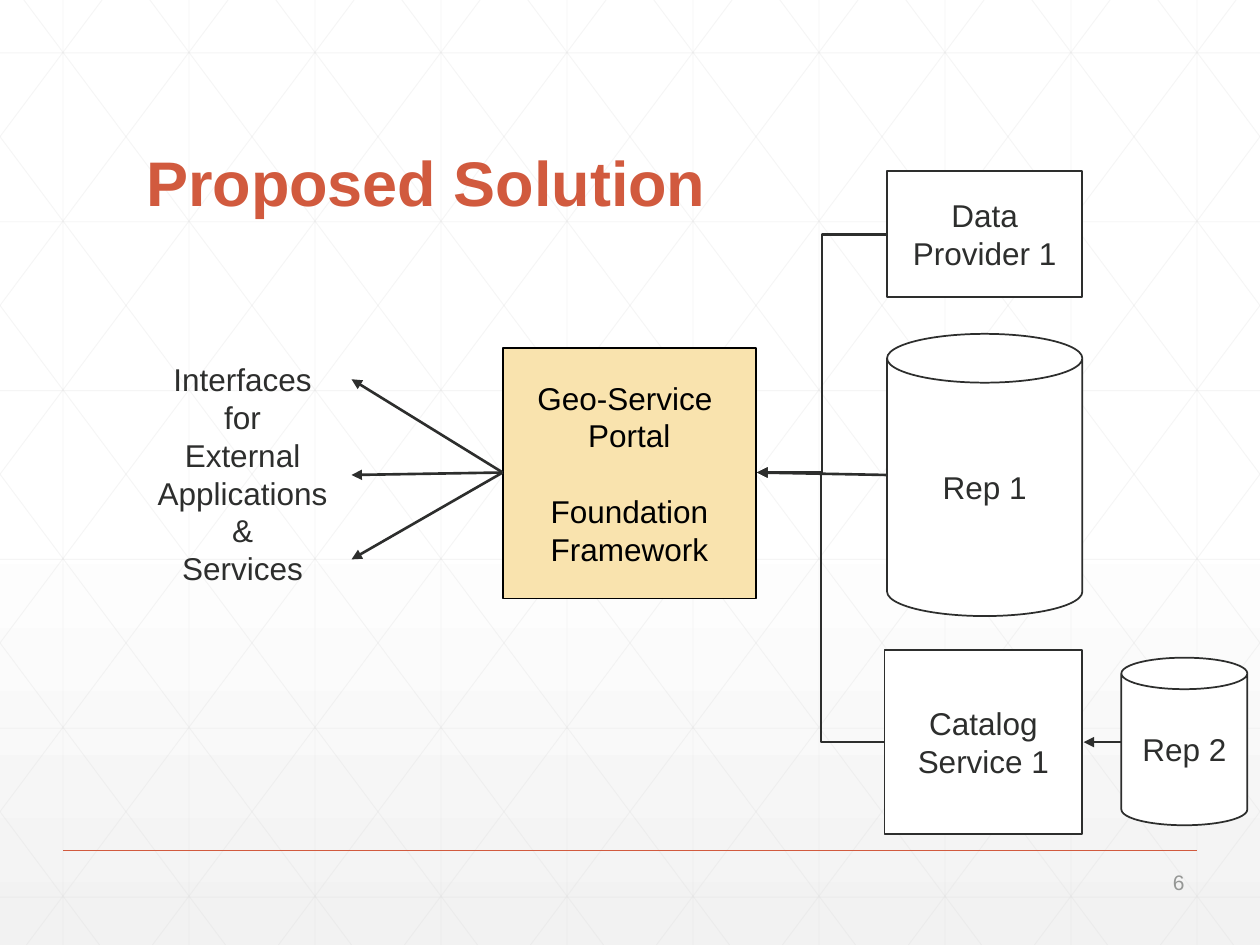
from pptx import Presentation
from pptx.dml.color import RGBColor
from pptx.enum.shapes import MSO_CONNECTOR as LINK, MSO_SHAPE as SHAPE
from pptx.enum.text import MSO_ANCHOR as ANCHOR, MSO_AUTO_SIZE as AUTO, PP_ALIGN as ALIGN
from pptx.oxml.ns import qn
from pptx.util import Inches, Pt
from lxml.etree import SubElement

FONT = "Arial"
INK, ACCENT, GRID, WHITE, BLACK = "2D2E2D", "D15A3E", "D9D9D9", "FFFFFF", "000000"


def color(hex_string):
    return RGBColor.from_string(hex_string)


def lengths(*values):
    return [Inches(value) for value in values]


def write(frame, lines, size=18, ink=INK, align=ALIGN.CENTER, anchor=ANCHOR.MIDDLE,
          bold=False, spacing=Pt(21.6)):
    frame.text = "\n".join(lines)
    frame.word_wrap = True
    frame.auto_size = AUTO.NONE
    frame.vertical_anchor = anchor
    for paragraph in frame.paragraphs:
        paragraph.alignment = align
        paragraph.line_spacing = spacing
        for run in paragraph.runs:
            run.font.name = FONT
            run.font.size = Pt(size)
            run.font.bold = bold
            run.font.color.rgb = color(ink)


def link(slide, start, end, ink=INK, width=1.5, kind=LINK.STRAIGHT, arrow=False, opacity=None):
    connector = slide.shapes.add_connector(kind, *lengths(*start, *end))
    connector.line.color.rgb = color(ink)
    connector.line.width = Pt(width)
    properties = connector._element.spPr
    outline = properties.find(qn("a:ln"))
    if opacity:
        tint = outline.find(".//" + qn("a:srgbClr"))
        SubElement(tint, qn("a:alpha")).set("val", str(opacity * 1000))
    if arrow:
        SubElement(outline, qn("a:tailEnd")).set("type", "triangle")
    SubElement(properties, qn("a:effectLst"))


def add_node(slide, box, lines, kind=SHAPE.RECTANGLE, fill=WHITE, line=INK, ink=INK):
    node = slide.shapes.add_shape(kind, *lengths(*box))
    node.shadow.inherit = False
    node.fill.solid()
    node.fill.fore_color.rgb = color(fill)
    node.line.color.rgb = color(line)
    node.line.width = Pt(1)
    write(node.text_frame, lines, ink=ink)
    return node


def add_background(slide, box):
    left, top, width, height = box
    right, bottom = left + width, top + height
    fill = slide.background.fill
    fill.gradient()
    fill.gradient_angle = 270
    for stop, position, shade in zip(fill.gradient_stops, (0.53, 1), (WHITE, "F2F2F2")):
        stop.position = position
        stop.color.rgb = color(shade)

    strokes = [((left + 0.5 + step, top), (left + 0.5 + step, bottom)) for step in range(10)]
    strokes += [((left, top + 0.42 + 1.34 * row), (right, top + 0.42 + 1.34 * row))
                for row in range(6)]
    slope = height / 5.6
    for step in range(-5, 10):
        offset = 0.19 + step
        x1, x2 = max(offset, 0), min(offset + 5.6, width)
        y1, y2 = (x1 - offset) * slope, (x2 - offset) * slope
        strokes.append(((left + x1, top + y1), (left + x2, top + y2)))
        strokes.append(((right - x1, top + y1), (right - x2, top + y2)))
    for start, end in strokes:
        link(slide, start, end, GRID, 0.5, opacity=25)


def add_title(slide, box):
    title = slide.shapes.title
    title.left, title.top, title.width, title.height = lengths(*box)
    write(title.text_frame, ["Proposed Solution"], 36, ACCENT, ALIGN.LEFT, ANCHOR.BOTTOM,
          True, 0.9)
    slide.shapes._spTree.append(title._element)


def add_footer(slide, box):
    left, top, width, height = box
    link(slide, (left, top), (left + width, top), ACCENT, 1)
    number = slide.shapes.add_textbox(*lengths(left + width - 0.75, top + 0.13, 0.75, height))
    write(number.text_frame, ["6"], 12, "959795", ALIGN.RIGHT, spacing=1.0)


def add_portal(slide, box):
    portal = add_node(slide, box, ["Geo-Service ", "Portal", "Foundation Framework"],
                      fill="F9E3AE", line=BLACK, ink=BLACK)
    portal.text_frame.paragraphs[2].space_before = Pt(21.6)


def add_sources(slide, box, hub):
    left, top, width, height = box
    catalog_y = top + 4.53
    add_node(slide, (left, top, width, 1), ["Data Provider 1"])
    add_node(slide, (left, top + 1.29, width, 2.24), ["Rep 1"], SHAPE.CAN)
    add_node(slide, (left - 0.02, top + 3.8, width + 0.02, height - 3.8),
             ["Catalog", "Service 1"])
    add_node(slide, (left + 1.86, top + 3.86, 1, 1.33), ["Rep 2"], SHAPE.CAN)
    link(slide, (left + 1.86, catalog_y), (left + width + 0.01, catalog_y), arrow=True)
    link(slide, (left, top + 2.41), hub, arrow=True)
    for start in ((left, top + 0.5), (left - 0.02, catalog_y)):
        link(slide, start, hub, kind=LINK.ELBOW, arrow=True)


def add_interfaces(slide, box, hub):
    left, top, width, height = box
    for drop in (0.2, 0.96, 1.63):
        link(slide, hub, (left + width + 0.01, top + drop), arrow=True)
    interfaces = slide.shapes.add_textbox(*lengths(*box))
    write(interfaces.text_frame,
          ["Interfaces", "for", "External", "Applications", "&", "Services"],
          anchor=ANCHOR.TOP)


def build_slide(deck):
    slide = deck.slides.add_slide(deck.slide_layouts[5])
    add_background(slide, (0, 0, 10, 7.5))
    add_footer(slide, (0.5, 6.75, 9, 0.24))
    add_title(slide, (1.06, 0.55, 7.88, 1.25))
    add_portal(slide, (3.99, 2.76, 2.01, 1.99))
    add_sources(slide, (7.04, 1.36, 1.55, 5.26), (6.01, 3.75))
    add_interfaces(slide, (1.07, 2.81, 1.71, 1.92), (3.99, 3.75))


deck = Presentation()
deck.slide_width, deck.slide_height = lengths(10, 7.5)
build_slide(deck)
deck.save("out.pptx")
